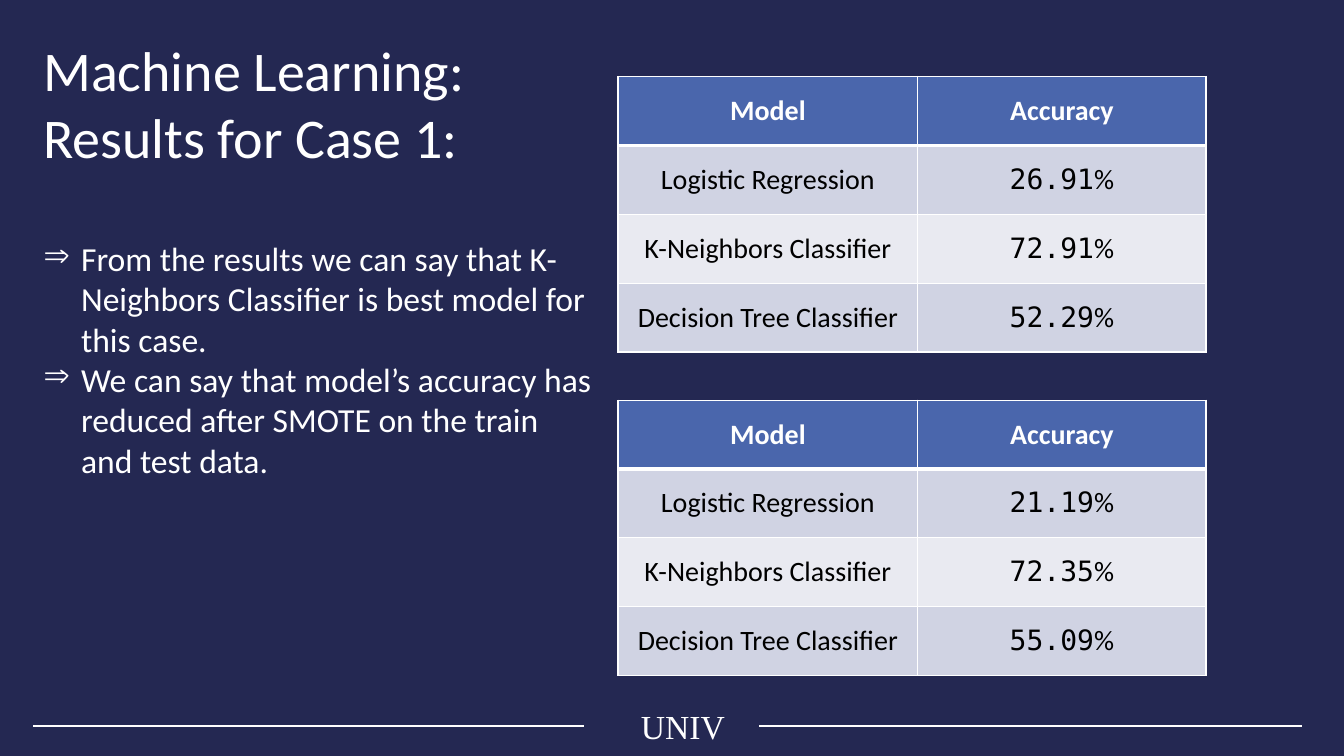
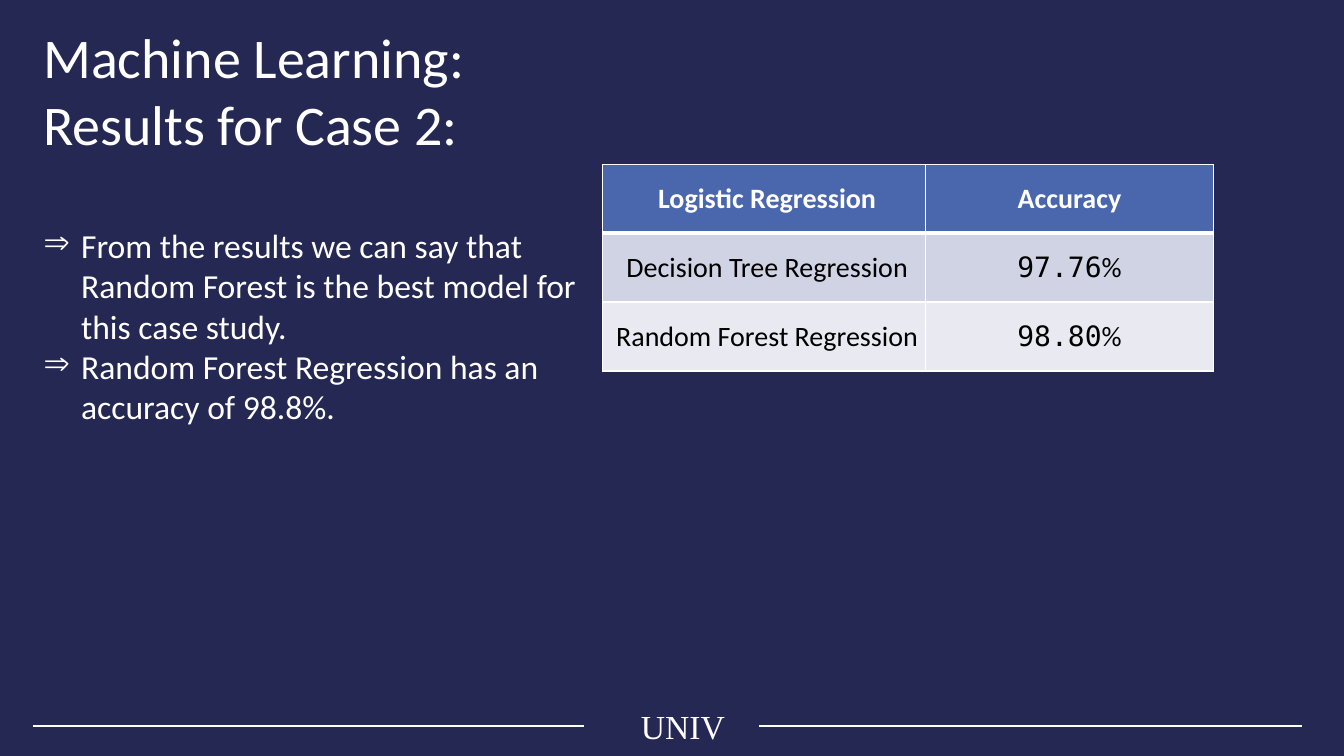
from lxml.etree import SubElement
from pptx import Presentation
from pptx.dml.color import RGBColor
from pptx.enum.shapes import MSO_CONNECTOR
from pptx.enum.text import MSO_ANCHOR, MSO_AUTO_SIZE, PP_ALIGN
from pptx.oxml.ns import qn
from pptx.util import Pt

NAVY, BLUE, WHITE, BLACK = "242852", "4A66AC", "FFFFFF", "000000"
BANDS = ["D0D3E3", "E9EAF1"]
ROW_HEIGHT = 49.2
INDENT = 27
FOOTER = "UNIV"
FOOTER_BOX = (450.7, 500.4, 91.4, 36)
FOOTER_LINES = [(23.8, 416.9), (542.2, 930.2)]
FOOTER_LINE_TOP = 518.4

TITLE = {"size": Pt(40), "name": "Calibri"}
BODY = {"size": Pt(24), "name": "Calibri"}
BRAND = {"size": Pt(24), "name": "Times New Roman"}
HEADER = {"size": Pt(20), "name": "Calibri", "bold": True}
CELL = {"size": Pt(20), "name": "Calibri", "bold": False}
NUMBER = {**CELL, "name": "DejaVu Sans Mono"}

MODELS = ["Model", "Logistic Regression", "K-Neighbors Classifier", "Decision Tree Classifier"]
SLIDES = [
    {
        "title": "Machine Learning: Results for Case 1:",
        "bullets": [
            "From the results we can say that K-Neighbors Classifier is best model for this case.",
            "We can say that model’s accuracy has reduced after SMOTE on the train and test data.",
        ],
        "text_box": (23.8, 21.6, 406.8, 326.9),
        "columns": [(441.4, 214.2), (655.6, 205.9)],
        "results": [
            (54.7, MODELS, ["Accuracy", "26.91", "72.91", "52.29"]),
            (285.8, MODELS, ["Accuracy", "21.19", "72.35", "55.09"]),
        ],
    },
    {
        "title": "Machine Learning: Results for Case 2:",
        "bullets": [
            "From the results we can say that Random Forest is the best model for this case study.",
            "Random Forest Regression has an accuracy of 98.8%.",
        ],
        "text_box": (23.8, 12.4, 406.8, 298.1),
        "columns": [(430.6, 234.7), (661, 205.9)],
        "results": [
            (117.4,
             ["Logistic Regression", "Decision Tree Regression", "Random Forest Regression"],
             ["Accuracy", "97.76", "98.80"]),
        ],
    },
]


def color(value):
    return RGBColor.from_string(value)


def points(values):
    return [Pt(value) for value in values]


def add_run(paragraph, text, style, ink=WHITE):
    run = paragraph.add_run()
    run.text = text
    for name, value in style.items():
        setattr(run.font, name, value)
    run.font.color.rgb = color(ink)


def add_text_box(slide, box):
    frame = slide.shapes.add_textbox(*points(box)).text_frame
    frame.word_wrap = True
    frame.auto_size = MSO_AUTO_SIZE.SHAPE_TO_FIT_TEXT
    return frame


def add_footer(slide):
    add_run(add_text_box(slide, FOOTER_BOX).paragraphs[0], FOOTER, BRAND)
    for start, end in FOOTER_LINES:
        line = slide.shapes.add_connector(
            MSO_CONNECTOR.STRAIGHT, *points((start, FOOTER_LINE_TOP, end, FOOTER_LINE_TOP)))
        line.line.color.rgb = color(WHITE)
        line.line.width = Pt(1.5)
        SubElement(line.element.spPr, qn("a:effectLst"))


def add_message(slide, box, title, bullets):
    frame = add_text_box(slide, box)
    add_run(frame.paragraphs[0], title, TITLE)
    for index, text in enumerate(bullets):
        paragraph = frame.add_paragraph()
        paragraph.space_before = Pt(0 if index else 48.8)
        add_run(paragraph, text, BODY)
        properties = paragraph._p.get_or_add_pPr()
        properties.set("marL", str(Pt(INDENT)))
        properties.set("indent", str(-Pt(INDENT)))
        SubElement(properties, qn("a:buChar"), char="⇒")


def set_borders(cell, row):
    widths = {"L": 1, "R": 1, "T": 3 if row == 1 else 1, "B": 3 if row == 0 else 1}
    for side, width in widths.items():
        border = SubElement(cell._tc.get_or_add_tcPr(), qn(f"a:ln{side}"), w=str(Pt(width)))
        SubElement(SubElement(border, qn("a:solidFill")), qn("a:srgbClr"), val=WHITE)


def add_column_table(slide, left, top, width, entries, numeric):
    table = slide.shapes.add_table(
        len(entries), 1, *points((left, top, width, ROW_HEIGHT * len(entries)))).table
    for row, text in enumerate(entries):
        table.rows[row].height = Pt(ROW_HEIGHT)
        cell = table.cell(row, 0)
        set_borders(cell, row)
        cell.fill.solid()
        cell.fill.fore_color.rgb = color(BANDS[(row - 1) % 2] if row else BLUE)
        cell.vertical_anchor = MSO_ANCHOR.MIDDLE
        paragraph = cell.text_frame.paragraphs[0]
        paragraph.alignment = PP_ALIGN.CENTER
        if row == 0:
            add_run(paragraph, text, HEADER)
        elif numeric:
            add_run(paragraph, text, NUMBER, BLACK)
            add_run(paragraph, "%", CELL, BLACK)
        else:
            add_run(paragraph, text, CELL, BLACK)


presentation = Presentation()
presentation.slide_width, presentation.slide_height = points((960, 540))
background = presentation.slide_master.background.fill
background.solid()
background.fore_color.rgb = color(NAVY)

for content in SLIDES:
    slide = presentation.slides.add_slide(presentation.slide_layouts[6])
    add_footer(slide)
    add_message(slide, content["text_box"], content["title"], content["bullets"])
    for top, *lists in content["results"]:
        for index, (left, width) in enumerate(content["columns"]):
            add_column_table(slide, left, top, width, lists[index], index == 1)

presentation.save("out.pptx")
